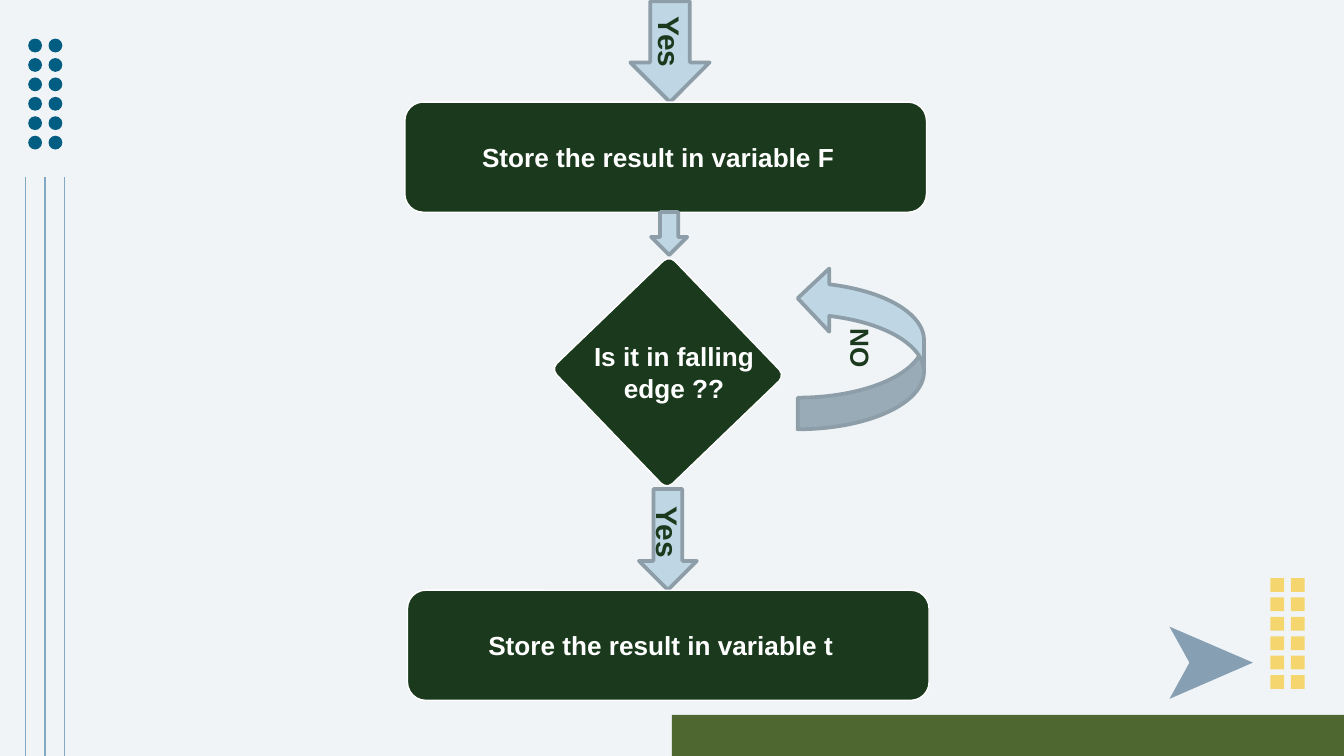
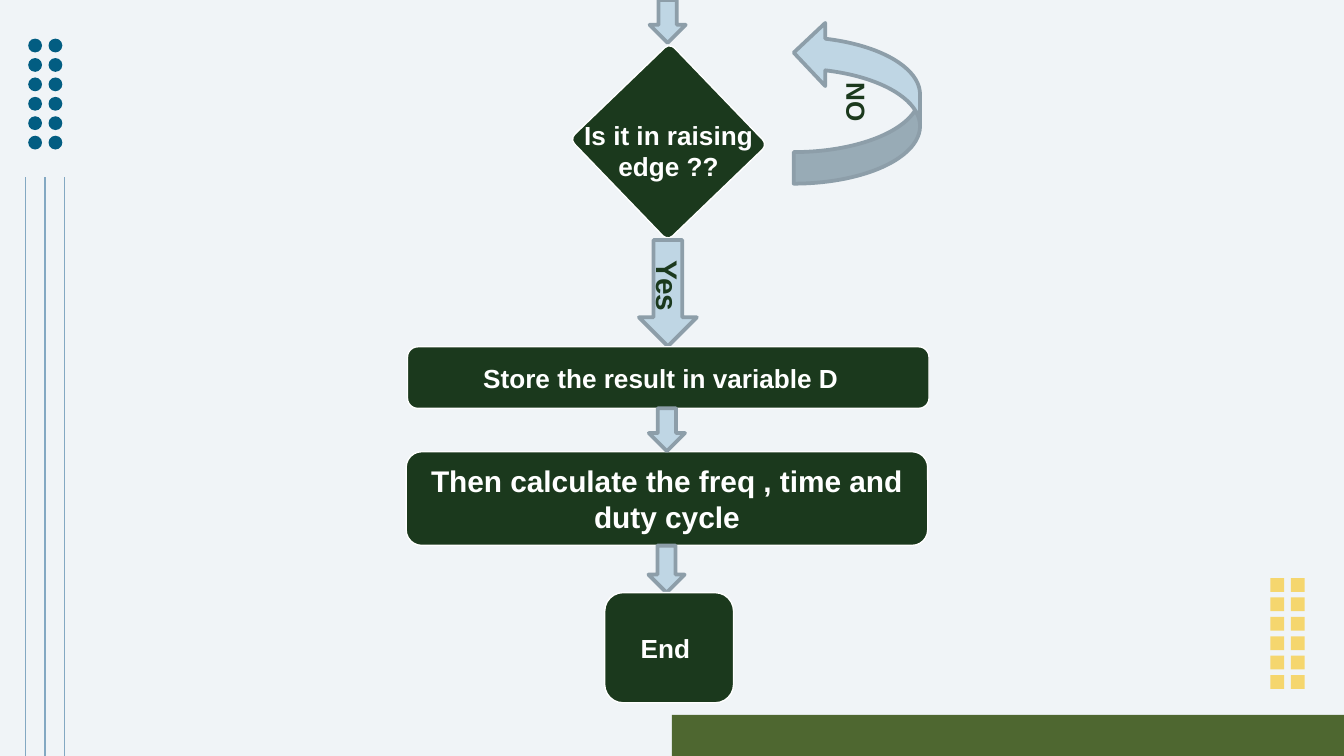
from pptx import Presentation
from pptx.dml.color import RGBColor
from pptx.enum.shapes import MSO_CONNECTOR, MSO_SHAPE
from pptx.enum.text import MSO_ANCHOR, PP_ALIGN
from pptx.oxml.ns import qn
from pptx.util import Pt
from lxml import etree

STRAIGHT = MSO_CONNECTOR.STRAIGHT
RECTANGLE, OVAL = MSO_SHAPE.RECTANGLE, MSO_SHAPE.OVAL
ROUNDED = MSO_SHAPE.ROUNDED_RECTANGLE
DOWN_ARROW, RIGHT_ARROW = MSO_SHAPE.DOWN_ARROW, MSO_SHAPE.RIGHT_ARROW
CURVED_ARROW = MSO_SHAPE.CURVED_DOWN_ARROW
MIDDLE, CENTER = MSO_ANCHOR.MIDDLE, PP_ALIGN.CENTER

PAGE = RGBColor(0xF0, 0xF4, 0xF7)
WHITE = RGBColor(0xFF, 0xFF, 0xFF)
DARK_GREEN = RGBColor(0x1B, 0x39, 0x1D)
BAND_GREEN = RGBColor(0x4E, 0x67, 0x30)
PALE_BLUE = RGBColor(0xBF, 0xD6, 0xE4)
STEEL = RGBColor(0x8D, 0x9E, 0xA9)
RULE_BLUE = RGBColor(0x83, 0xA8, 0xC2)
DOT_BLUE = RGBColor(0x02, 0x5D, 0x82)
YELLOW = RGBColor(0xF5, 0xD6, 0x6E)
POINTER_BLUE = RGBColor(0x86, 0x9F, 0xB2)

FONT = "Arial"
WIDTH, HEIGHT = 720, 405
GRID_STEP = 10.4
BOX_WIDTH = 279.4
BOX_MARGIN = 7.2


class Flowchart:
    def __init__(self):
        self.deck = Presentation()
        self.deck.slide_width, self.deck.slide_height = Pt(WIDTH), Pt(HEIGHT)
        self.layout = self.deck.slide_layouts.get_by_name("Blank")
        self.slide = None

    def new_slide(self):
        first = self.slide is None
        if first:
            for placeholder in list(self.layout.placeholders):
                placeholder.element.getparent().remove(placeholder.element)
        self.slide = self.deck.slides.add_slide(self.layout)
        if first:
            self.decorate_layout()

    def decorate_layout(self):
        """Draw the shared decoration once and move it to the layout."""
        background = self.layout.background.fill
        background.solid()
        background.fore_color.rgb = PAGE
        for column in range(3):
            self.vertical_rule(13.8 + column * GRID_STEP, 95, HEIGHT)
        self.dot_grid(OVAL, 15.1, 20.7, DOT_BLUE)
        self.dot_grid(RECTANGLE, 680.6, 309.7, YELLOW)
        self.shape(RECTANGLE, 360, 383, 360, 22, BAND_GREEN)
        for shape in list(self.slide.shapes):
            self.layout.shapes.element.append(shape.element)

    def vertical_rule(self, x, top, bottom):
        rule = self.slide.shapes.add_connector(
            STRAIGHT, Pt(x), Pt(top), Pt(x), Pt(bottom))
        rule.line.color.rgb = RULE_BLUE
        rule.line.width = Pt(0.75)
        etree.SubElement(rule.element.spPr, qn("a:effectLst"))

    def dot_grid(self, kind, left, top, color):
        for row in range(6):
            for column in range(2):
                self.shape(kind, left + column * 10.9, top + row * GRID_STEP,
                           7.4, 7.4, color)

    def paint(self, shape, fill, line=None, line_width=0.75):
        shape.shadow.inherit = False
        shape.fill.solid()
        shape.fill.fore_color.rgb = fill
        if line is None:
            shape.line.fill.background()
        else:
            shape.line.color.rgb = line
            shape.line.width = Pt(line_width)

    def shape(self, kind, left, top, width, height, fill, line=None, line_width=0.75):
        shape = self.slide.shapes.add_shape(
            kind, Pt(left), Pt(top), Pt(width), Pt(height))
        self.paint(shape, fill, line, line_width)
        return shape

    def set_label(self, shape, text, size, color):
        frame = shape.text_frame
        frame.text = text
        frame.word_wrap = True
        frame.vertical_anchor = MIDDLE
        para = frame.paragraphs[0]
        para.alignment = CENTER
        font = para.runs[0].font
        font.name, font.size, font.bold = FONT, Pt(size), True
        font.color.rgb = color

    def step(self, text, left, top, height, width=BOX_WIDTH, size=14, shift=0):
        """Draw a rounded step box; shift widens its right margin."""
        box = self.shape(ROUNDED, left, top, width, height, DARK_GREEN, WHITE)
        self.set_label(box, text, size, WHITE)
        frame = box.text_frame
        frame.margin_left = frame.margin_top = frame.margin_bottom = Pt(BOX_MARGIN)
        frame.margin_right = Pt(BOX_MARGIN + shift)

    def decision(self, text, left, top, width, height, text_left, text_top):
        diamond = self.shape(ROUNDED, left, top, width, height, DARK_GREEN, WHITE)
        diamond.adjustments[0] = 0.049
        diamond.rotation = 46.1
        label = self.slide.shapes.add_textbox(
            Pt(text_left), Pt(text_top), Pt(118.8), Pt(73.4))
        self.set_label(label, text, 14, WHITE)

    def arrow(self, kind, left, top, width, height):
        return self.shape(kind, left, top, width, height, PALE_BLUE, STEEL, 2)

    def next_arrow(self, center, top, height=23):
        self.arrow(DOWN_ARROW, center - 9.7, top, 19.4, height)

    def yes_arrow(self, center, top, length, breadth):
        """Draw a right arrow turned down, so that its label turns with it."""
        arrow = self.arrow(RIGHT_ARROW, center - length / 2,
                           top + (length - breadth) / 2, length, breadth)
        arrow.rotation = 90
        self.set_label(arrow, "Yes", 16, DARK_GREEN)

    def no_loop(self, left, top):
        loop = self.arrow(CURVED_ARROW, left, top, 87.1, 67.7)
        loop.rotation = 270
        loop.element.spPr.get_or_add_xfrm().set("flipV", "1")
        self.set_label(loop, "NO", 14, DARK_GREEN)

    def pointer(self, *corners):
        points = [(Pt(x), Pt(y)) for x, y in corners]
        builder = self.slide.shapes.build_freeform(*points[0])
        builder.add_line_segments(points[1:], close=True)
        self.paint(builder.convert_to_shape(), POINTER_BLUE)


def falling_edge_slide(chart):
    chart.new_slide()
    chart.yes_arrow(358.9, 0.7, 54, 42.5)
    chart.step("Store the result in variable F", 216.9, 54.7, 59, shift=7.8)
    chart.decision("Is it in falling edge ??", 313.2, 155.5, 89.3, 87.8, 301.7, 162.7)
    chart.next_arrow(358.5, 113.6)
    chart.yes_arrow(357.8, 262, 54, 31)
    chart.no_loop(417.6, 152.6)
    chart.step("Store the result in variable t", 218.3, 316.2, 59, shift=7.8)
    chart.pointer((626.5, 335.7), (637.2, 355), (626.5, 374.4), (671.2, 355))


def raising_edge_slide(chart):
    chart.new_slide()
    chart.decision("Is it in raising edge ??", 320.4, 38.9, 75.6, 74.2, 298.8, 43.9)
    chart.next_arrow(357.7, 0)
    chart.yes_arrow(357.8, 128.6, 56.9, 31)
    chart.no_loop(415.5, 21)
    chart.step("Store the result in variable D", 218.3, 185.8, 33, shift=7.8)
    chart.step("Then calculate the freq , time and duty cycle",
               217.6, 242, 50.2, size=16)
    chart.next_arrow(357.3, 218.7)
    chart.next_arrow(357.1, 292.3, 25.2)
    chart.step("End", 324, 317.5, 59, width=69, shift=3.9)


def main():
    chart = Flowchart()
    falling_edge_slide(chart)
    raising_edge_slide(chart)
    chart.deck.save("out.pptx")


if __name__ == "__main__":
    main()
